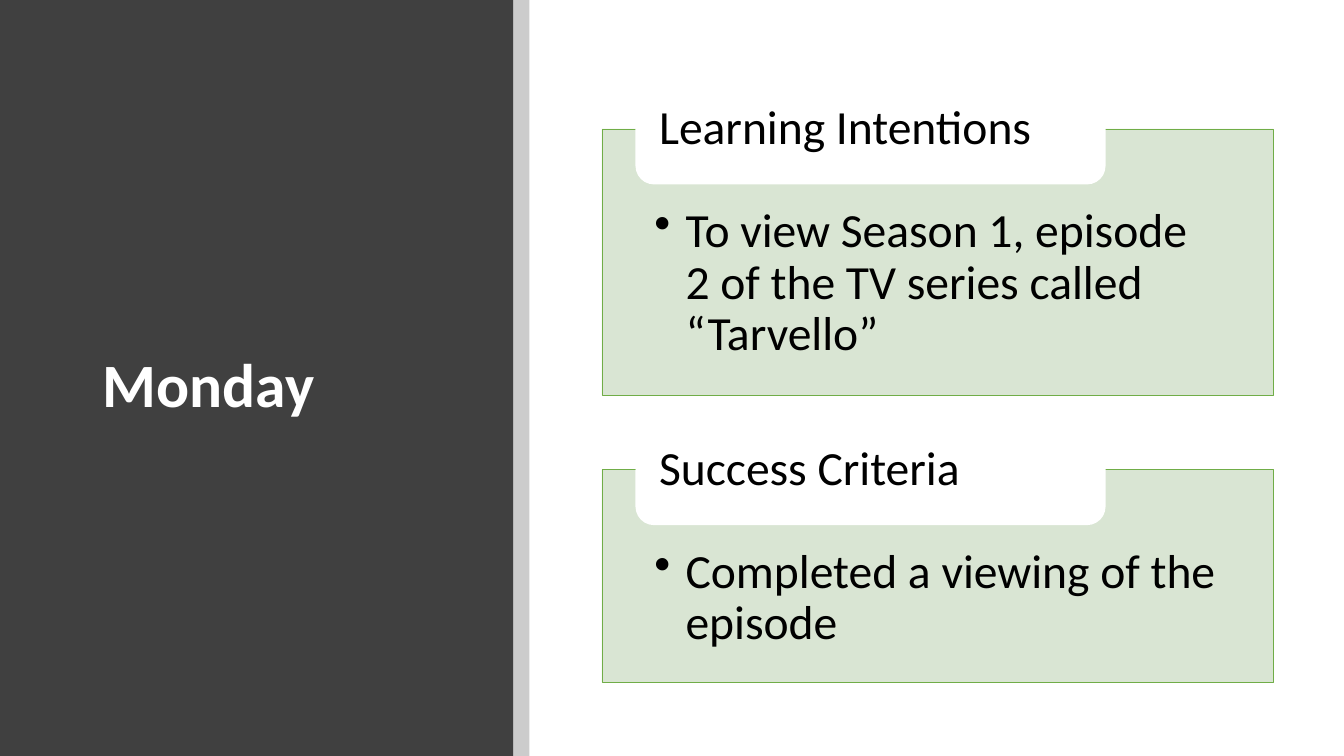
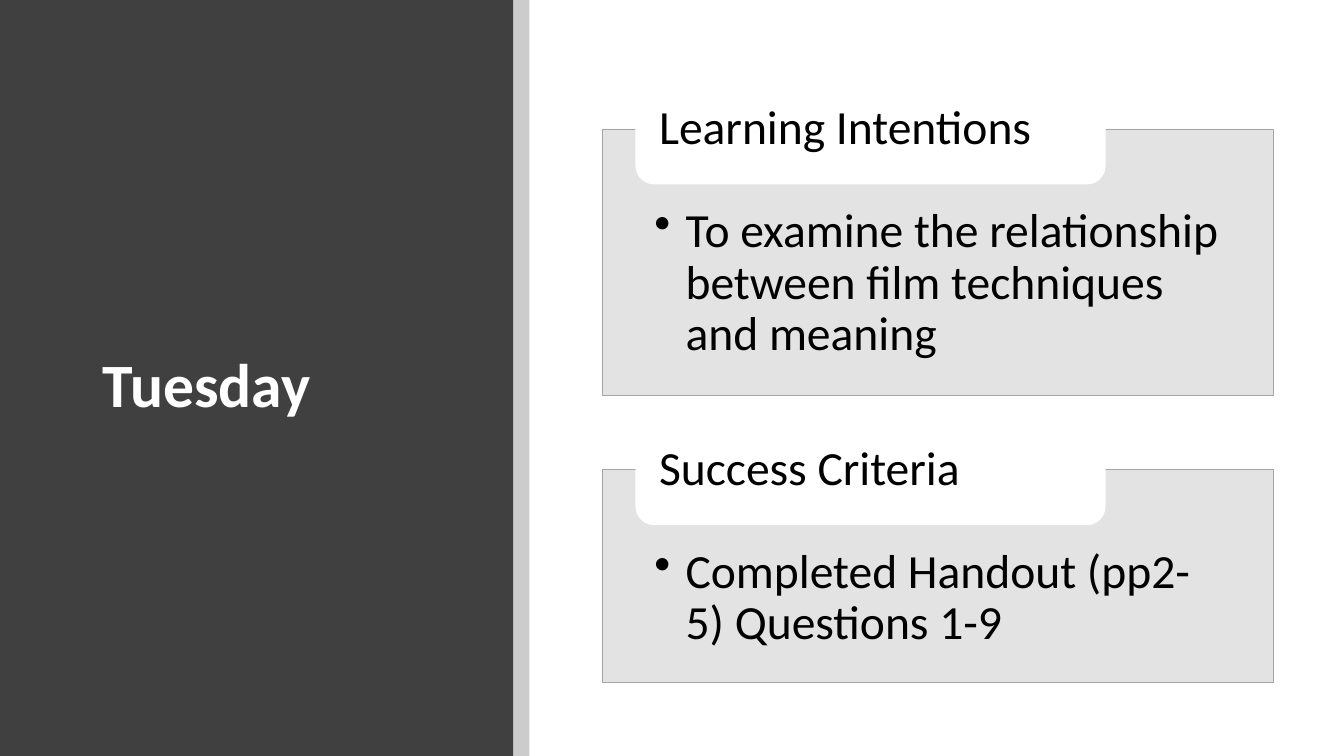
"""Build two lesson slides, each with a day title and two labelled panels."""
from lxml import etree
from pptx import Presentation
from pptx.dml.color import RGBColor
from pptx.enum.shapes import MSO_SHAPE
from pptx.enum.text import MSO_ANCHOR, MSO_AUTO_SIZE, PP_ALIGN
from pptx.oxml.ns import qn
from pptx.util import Inches, Pt

RECTANGLE, ROUNDED = MSO_SHAPE.RECTANGLE, MSO_SHAPE.ROUNDED_RECTANGLE
TOP, MIDDLE, LEFT = MSO_ANCHOR.TOP, MSO_ANCHOR.MIDDLE, PP_ALIGN.LEFT

COLORS = {"band": "404040", "strip": "000000", "white": "FFFFFF", "text": "000000",
          "green": "D5E3CF", "green line": "70AD47",
          "gray": "E1E1E1", "gray line": "A5A5A5"}
FONT = "Calibri"
WIDTH, HEIGHT = 13.33, 7.5
BAND_WIDTH, STRIP_WIDTH = 5.09, 0.16
PANEL_LEFT, PANEL_TOP, PANEL_WIDTH, PANEL_GAP = 5.97, 1.28, 6.66, 0.74
PANEL_HEIGHTS = (2.64, 2.11)
LABELS = ("Learning Intentions", "Success Criteria")
LABEL_LEFT = PANEL_LEFT + 0.05 * PANEL_WIDTH
LABEL_WIDTH, LABEL_HEIGHT = 0.7 * PANEL_WIDTH, 1.1
BULLET_INDENT = Inches(0.31)

DAYS = [
    ("Monday", "green", ("To view Season 1, episode 2 of the TV series called “Tarvello”",
                         "Completed a viewing of the episode")),
    ("Tuesday", "gray", ("To examine the relationship between film techniques and meaning",
                         "Completed Handout (pp2-5) Questions 1-9")),
]


def add_block(page, kind, bounds, color, opacity=100):
    """Add a filled shape without line or shadow."""
    block = page.shapes.add_shape(kind, *(Inches(length) for length in bounds))
    block.shadow.inherit = False
    block.line.fill.background()
    block.fill.solid()
    block.fill.fore_color.rgb = RGBColor.from_string(COLORS[color])
    if opacity < 100:
        tint = block.element.spPr.find(qn("a:solidFill"))[0]
        etree.SubElement(tint, qn("a:alpha")).set("val", str(opacity * 1000))
    return block


def write(shape, text, size, color, anchor, insets, bold=False, bullet=False):
    """Set and format the single paragraph of a shape."""
    frame = shape.text_frame
    frame.text = text
    frame.word_wrap = True
    frame.auto_size = MSO_AUTO_SIZE.NONE
    frame.vertical_anchor = anchor
    frame.margin_left, frame.margin_top, frame.margin_right, frame.margin_bottom = (
        Inches(inset) for inset in insets)
    para = frame.paragraphs[0]
    para.alignment = LEFT
    para.line_spacing = 0.9
    if bullet:
        properties = para._p.get_or_add_pPr()
        properties.set("marL", str(BULLET_INDENT))
        properties.set("indent", str(-BULLET_INDENT))
        etree.SubElement(properties, qn("a:buChar")).set("char", "•")
    font = para.runs[0].font
    font.name, font.size, font.bold = FONT, Pt(size), bold
    font.color.rgb = RGBColor.from_string(COLORS[color])


deck = Presentation()
deck.slide_width, deck.slide_height = Inches(WIDTH), Inches(HEIGHT)
title_only = deck.slide_layouts[5]

for day, theme, goals in DAYS:
    page = deck.slides.add_slide(title_only)
    add_block(page, RECTANGLE, (0, 0, BAND_WIDTH, HEIGHT), "band")
    add_block(page, RECTANGLE, (BAND_WIDTH, 0, STRIP_WIDTH, HEIGHT), "strip", 20)

    title = page.shapes.title
    title.left, title.top = Inches(0.92), Inches(0.89)
    title.width, title.height = Inches(3.65), Inches(5.91)
    write(title, day, 44, "white", MIDDLE, (0.1, 0.05, 0.1, 0.05), bold=True)
    page.shapes.element.append(title.element)

    top = PANEL_TOP
    for label, goal, height in zip(LABELS, goals, PANEL_HEIGHTS):
        panel = add_block(page, RECTANGLE, (PANEL_LEFT, top, PANEL_WIDTH, height), theme, 90)
        panel.line.color.rgb = RGBColor.from_string(COLORS[theme + " line"])
        panel.line.width = Pt(0.5)
        write(panel, goal, 34, "text", TOP, (0.52, 0.77, 0.52, 0.26), bullet=True)

        tab = add_block(page, ROUNDED, (LABEL_LEFT, top - LABEL_HEIGHT / 2,
                                        LABEL_WIDTH, LABEL_HEIGHT), "white")
        write(tab, label, 34, "text", MIDDLE, (0.18, 0, 0.18, 0))
        top += height + PANEL_GAP

deck.save("out.pptx")
